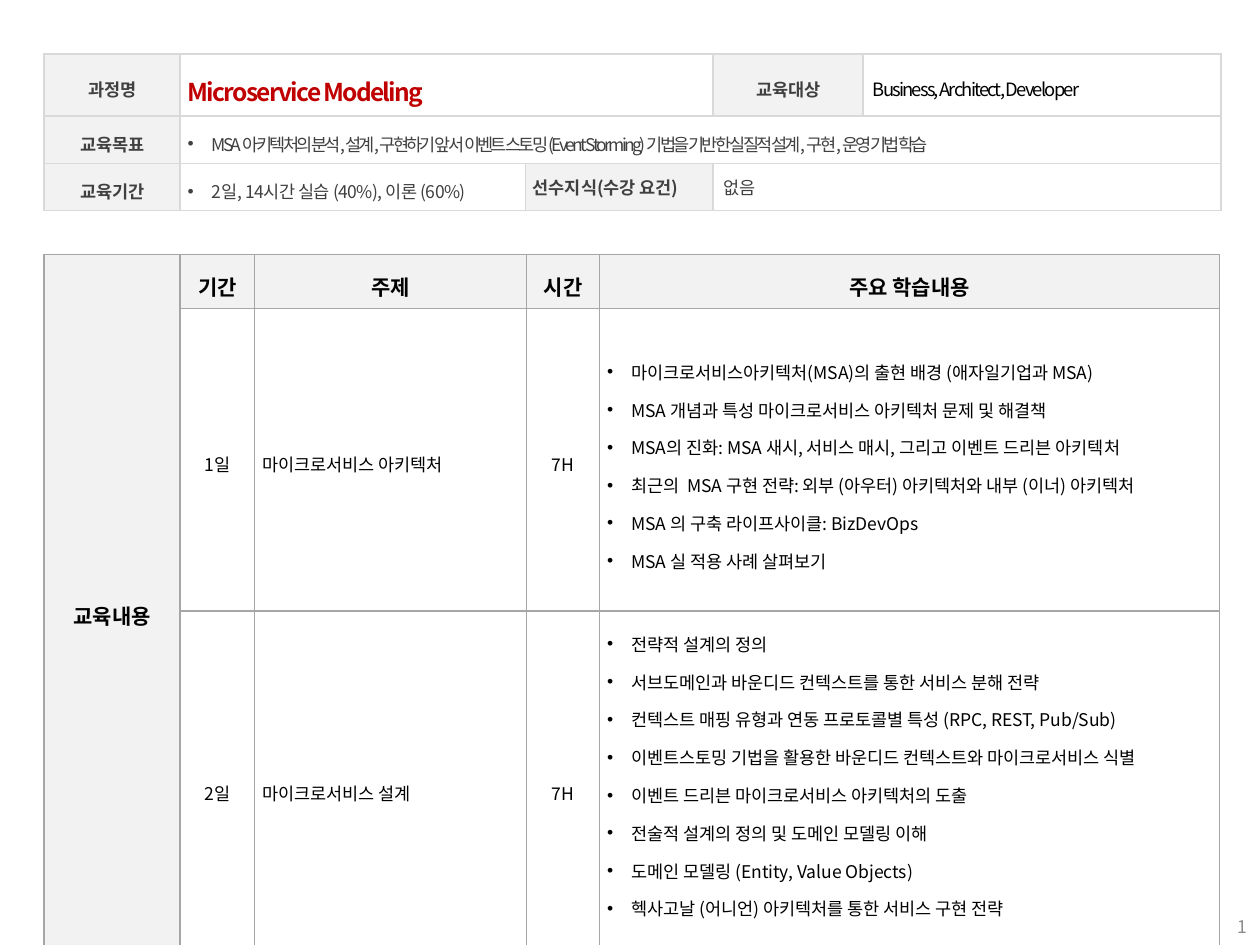
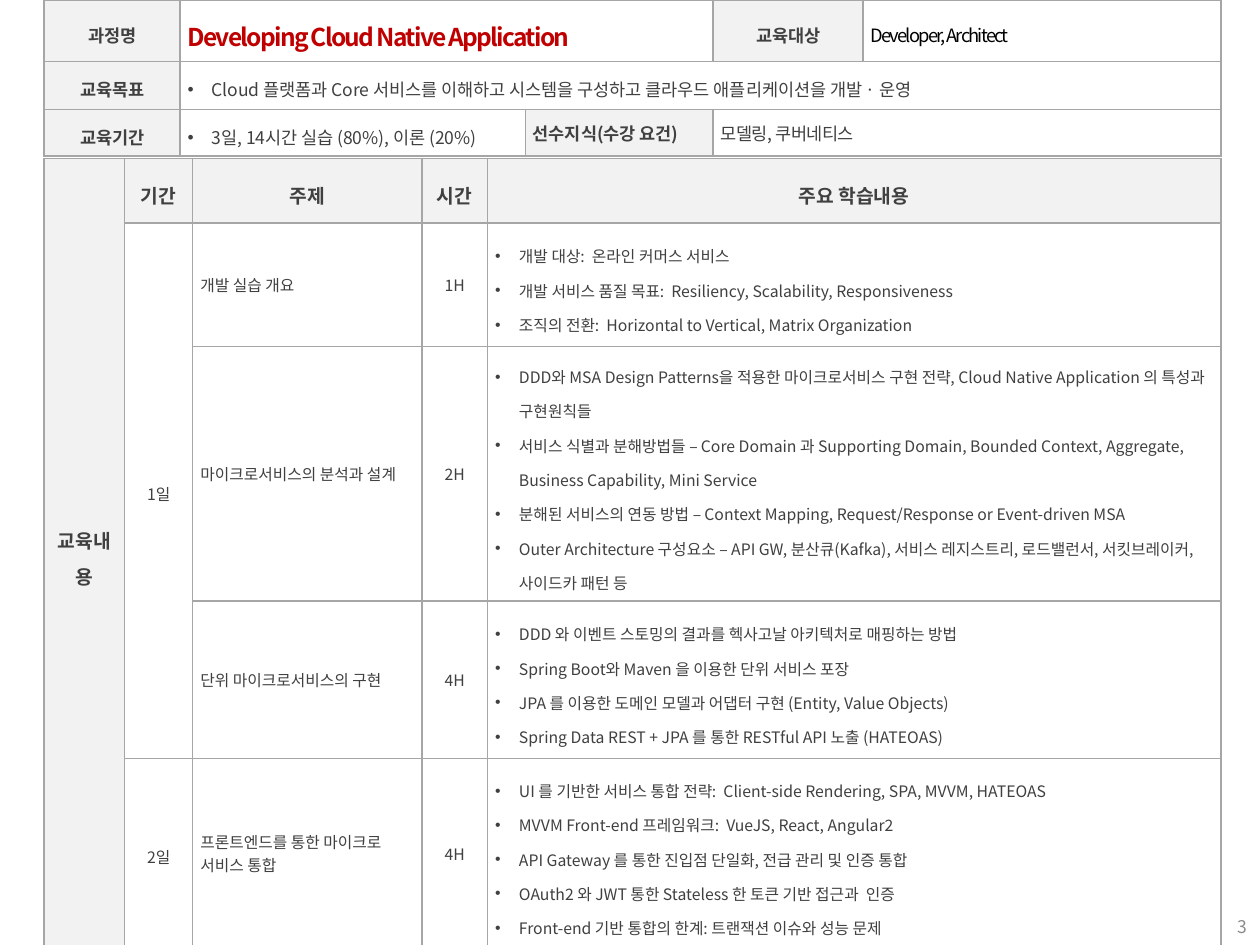
from lxml import etree
from pptx import Presentation
from pptx.dml.color import RGBColor
from pptx.enum.text import MSO_ANCHOR, PP_ALIGN
from pptx.oxml.ns import qn
from pptx.util import Emu, Inches, Pt

LEFT, CENTER, RIGHT = PP_ALIGN.LEFT, PP_ALIGN.CENTER, PP_ALIGN.RIGHT
MIDDLE, BOTTOM = MSO_ANCHOR.MIDDLE, MSO_ANCHOR.BOTTOM

FONT = "Noto Sans CJK KR"
COLORS = {
    "label": "F2F2F2", "white": "FFFFFF", "black": "000000", "text": "404040",
    "course": "C00000", "number": "8C8C8C", "light": "D9D9D9", "line": "A6A6A6",
}
TABLE_LEFT = 0.35
CELL_INSET = 0.06
BULLET_INDENT = 0.19
INFO_COLUMNS = [1.08, 2.74, 1.49, 1.19, 2.84]
INFO_ROWS = [0.49, 0.38, 0.37]
HEADINGS = ["교육내용", "기간", "주제", "시간", "주요 학습내용"]

# Each session: day, topic, hours, contents; a day of None continues the one above
COURSES = [
    {
        "number": "1", "info_top": 0.43, "info_line": "light",
        "name": "Microservice Modeling",
        "audience": " Business, Architect, Developer",
        "goal": "MSA 아키텍처의 분석,설계,구현하기 앞서  이벤트 스토밍(Event Storming) "
                "기법을 기반한 실질적 설계, 구현, 운영 기법 학습",
        "goal_spacing": -1.5,
        "period": "2일, 14시간 실습 (40%), 이론 (60%)", "period_spacing": -0.3,
        "prerequisite": " 없음",
        "top": 2.02, "columns": [1.08, 0.59, 2.16, 0.58, 4.92],
        "rows": [0.43, 2.4, 2.82], "heading_size": 12, "size": 10,
        "color": "black", "topic_lines": 1.3, "last_inset": 0.36,
        "sessions": [
            ("1일", "마이크로서비스 아키텍처", "7H", [
                "마이크로서비스아키텍처(MSA)의 출현 배경 (애자일기업과 MSA)",
                "MSA 개념과 특성 마이크로서비스 아키텍처 문제 및 해결책",
                "MSA의 진화: MSA 새시, 서비스 매시, 그리고 이벤트 드리븐 아키텍처",
                "최근의  MSA 구현 전략: 외부 (아우터) 아키텍처와 내부 (이너) 아키텍처",
                "MSA 의 구축 라이프사이클: BizDevOps",
                "MSA 실 적용 사례 살펴보기",
            ]),
            ("2일", "마이크로서비스 설계", "7H", [
                "전략적 설계의 정의",
                "서브도메인과 바운디드 컨텍스트를 통한 서비스 분해 전략",
                "컨텍스트 매핑 유형과 연동 프로토콜별 특성 (RPC, REST, Pub/Sub)",
                "이벤트스토밍 기법을 활용한 바운디드 컨텍스트와 마이크로서비스 식별",
                "이벤트 드리븐 마이크로서비스 아키텍처의 도출",
                "전술적 설계의 정의 및 도메인 모델링 이해",
                "도메인 모델링 (Entity, Value Objects)",
                "헥사고날 (어니언) 아키텍처를 통한 서비스 구현 전략",
            ]),
        ],
    },
    {
        "number": "3", "info_top": 0, "info_line": "line",
        "name": "Developing Cloud Native Application",
        "audience": "Developer, Architect",
        "goal": "Cloud 플랫폼과 Core 서비스를 이해하고 시스템을 구성하고 "
                "클라우드 애플리케이션을 개발 · 운영",
        "goal_spacing": 0,
        "period": "3일, 14시간 실습 (80%), 이론 (20%)", "period_spacing": 0,
        "prerequisite": "모델링, 쿠버네티스",
        "top": 1.26, "columns": [0.64, 0.54, 1.82, 0.52, 5.82],
        "rows": [0.51, 0.98, 2.02, 1.25, 1.51], "heading_size": 11, "size": 9,
        "color": "text", "topic_lines": 1, "last_inset": CELL_INSET,
        "sessions": [
            ("1일", "개발 실습 개요", "1H", [
                "개발 대상:  온라인 커머스 서비스",
                "개발 서비스 품질 목표:  Resiliency, Scalability, Responsiveness",
                "조직의 전환:  Horizontal to Vertical, Matrix Organization",
            ]),
            (None, "마이크로서비스의 분석과 설계", "2H", [
                "DDD와 MSA Design Patterns을 적용한 마이크로서비스 구현 전략, "
                "Cloud Native Application 의 특성과 구현원칙들",
                "서비스 식별과 분해방법들 – Core Domain 과 Supporting Domain, "
                "Bounded Context, Aggregate, Business Capability, Mini Service",
                "분해된 서비스의 연동 방법 – Context Mapping, "
                "Request/Response or Event-driven MSA",
                "Outer Architecture 구성요소 – API GW, 분산큐(Kafka), "
                "서비스 레지스트리, 로드밸런서, 서킷브레이커, 사이드카 패턴 등",
            ]),
            (None, "단위 마이크로서비스의 구현", "4H", [
                "DDD 와 이벤트 스토밍의 결과를 헥사고날 아키텍처로 매핑하는 방법",
                "Spring Boot와 Maven 을 이용한 단위 서비스 포장",
                "JPA 를 이용한 도메인 모델과 어댑터 구현 (Entity, Value Objects)",
                "Spring Data REST + JPA 를 통한 RESTful API 노출 (HATEOAS)",
            ]),
            ("2일", "프론트엔드를 통한 마이크로 서비스 통합", "4H", [
                "UI 를 기반한 서비스 통합 전략:  Client-side Rendering, SPA, MVVM, HATEOAS",
                "MVVM Front-end 프레임워크:  VueJS, React, Angular2",
                "API Gateway 를 통한 진입점 단일화, 전급 관리 및 인증 통합",
                "OAuth2 와 JWT 통한 Stateless 한 토큰 기반 접근과  인증",
                "Front-end 기반 통합의 한계: 트랜잭션 이슈와 성능 문제",
            ]),
        ],
    },
]


def add_grid(slide, top, columns, rows, line):
    """Add an unstyled table whose cells all have the same border."""
    frame = slide.shapes.add_table(
        len(rows), len(columns), Inches(TABLE_LEFT), Inches(top),
        Inches(sum(columns)), Inches(sum(rows)))
    table = frame.table
    table.first_row = table.horz_banding = False
    for column, width in zip(table.columns, columns):
        column.width = Inches(width)
    for row, height in zip(table.rows, rows):
        row.height = Inches(height)
    for cell in table.iter_cells():
        properties = cell._tc.get_or_add_tcPr()
        for side in ("a:lnL", "a:lnR", "a:lnT", "a:lnB"):
            border = etree.SubElement(properties, qn(side), w=str(Pt(1)))
            solid = etree.SubElement(border, qn("a:solidFill"))
            etree.SubElement(solid, qn("a:srgbClr"), val=COLORS[line])
        cell.fill.background()
        cell.vertical_anchor = MIDDLE
        cell.margin_left = cell.margin_right = Inches(CELL_INSET)
        cell.margin_top = cell.margin_bottom = Inches(CELL_INSET)
    return table


def write(holder, lines, size, color, bold=False, align=LEFT, line_spacing=1.3,
          spacing=0, bullet=False, fill=None):
    """Write one paragraph per line into a cell or text box."""
    if fill:
        holder.fill.solid()
        holder.fill.fore_color.rgb = RGBColor.from_string(COLORS[fill])
    frame = holder.text_frame
    for index, line in enumerate(lines):
        paragraph = frame.paragraphs[0] if index == 0 else frame.add_paragraph()
        paragraph.alignment = align
        paragraph.line_spacing = line_spacing
        if bullet:
            properties = paragraph._p.get_or_add_pPr()
            properties.set("marL", str(Inches(BULLET_INDENT)))
            properties.set("indent", str(-Inches(BULLET_INDENT)))
            etree.SubElement(properties, qn("a:buFont"), typeface="Arial")
            etree.SubElement(properties, qn("a:buChar"), char="•")
        run = paragraph.add_run()
        run.text = line
        run.font.size = Pt(size)
        run.font.bold = bold
        run.font.color.rgb = RGBColor.from_string(COLORS[color])
        run.font.name = FONT
        run_properties = run._r.get_or_add_rPr()
        run_properties.set("spc", str(round(spacing * 100)))
        etree.SubElement(run_properties, qn("a:ea"), typeface=FONT)


presentation = Presentation()
presentation.slide_width = Inches(10)
presentation.slide_height = Inches(7.5)
blank_layout = presentation.slide_layouts[6]

for course in COURSES:
    slide = presentation.slides.add_slide(blank_layout)

    # Page number
    number_box = slide.shapes.add_textbox(
        Inches(7.75), Inches(7.09), Inches(2.25), Inches(0.4))
    number_box.text_frame.word_wrap = True
    number_box.text_frame.vertical_anchor = BOTTOM
    write(number_box, [course["number"]], 10, "number", align=RIGHT, line_spacing=1)

    # Curriculum: headings, with the first column spanning every row
    table = add_grid(slide, course["top"], course["columns"], course["rows"], "line")
    last_row = len(course["sessions"])
    table.cell(0, 0).merge(table.cell(last_row, 0))
    for column, heading in enumerate(HEADINGS):
        write(table.cell(0, column), [heading], course["heading_size"],
              course["color"], bold=True, align=CENTER, fill="label")

    # Curriculum: one row per session
    size, color, topic_lines = course["size"], course["color"], course["topic_lines"]
    day_row = 1
    for row, (day, topic, hours, contents) in enumerate(course["sessions"], 1):
        if day:
            day_row = row
            write(table.cell(row, 1), [day], size, color, align=CENTER)
        next_day = course["sessions"][row][0] if row < last_row else "end"
        if next_day and row > day_row:
            table.cell(day_row, 1).merge(table.cell(row, 1))
        write(table.cell(row, 2), [topic], size, color, line_spacing=topic_lines)
        write(table.cell(row, 3), [hours], size, color, align=CENTER,
              line_spacing=topic_lines)
        write(table.cell(row, 4), contents, size, color, line_spacing=1.5, bullet=True)
    table.cell(last_row, 4).margin_bottom = Inches(course["last_inset"])

    # Course information: labels
    info = add_grid(slide, course["info_top"], INFO_COLUMNS, INFO_ROWS,
                    course["info_line"])
    info.cell(0, 1).merge(info.cell(0, 2))
    info.cell(1, 1).merge(info.cell(1, 4))
    info.cell(2, 3).merge(info.cell(2, 4))
    for row, column, label in [(0, 0, "과정명"), (0, 3, "교육대상"),
                               (1, 0, "교육목표"), (2, 0, "교육기간")]:
        write(info.cell(row, column), [label], 10, "text", bold=True,
              align=CENTER, fill="label")
    write(info.cell(2, 2), ["선수지식(수강 요건)"], 10, "text", bold=True,
          line_spacing=1, fill="label")

    # Course information: values
    write(info.cell(0, 1), [course["name"]], 14, "course", bold=True,
          spacing=-1, fill="white")
    write(info.cell(0, 4), [course["audience"]], 10.5, "black",
          spacing=-1, fill="white")
    write(info.cell(1, 1), [course["goal"]], 10, "text",
          spacing=course["goal_spacing"], bullet=True, fill="white")
    write(info.cell(2, 1), [course["period"]], 10, "text",
          spacing=course["period_spacing"], bullet=True, fill="white")
    write(info.cell(2, 3), [course["prerequisite"]], 10, "text",
          line_spacing=1, spacing=-0.3, fill="white")

presentation.save("out.pptx")
